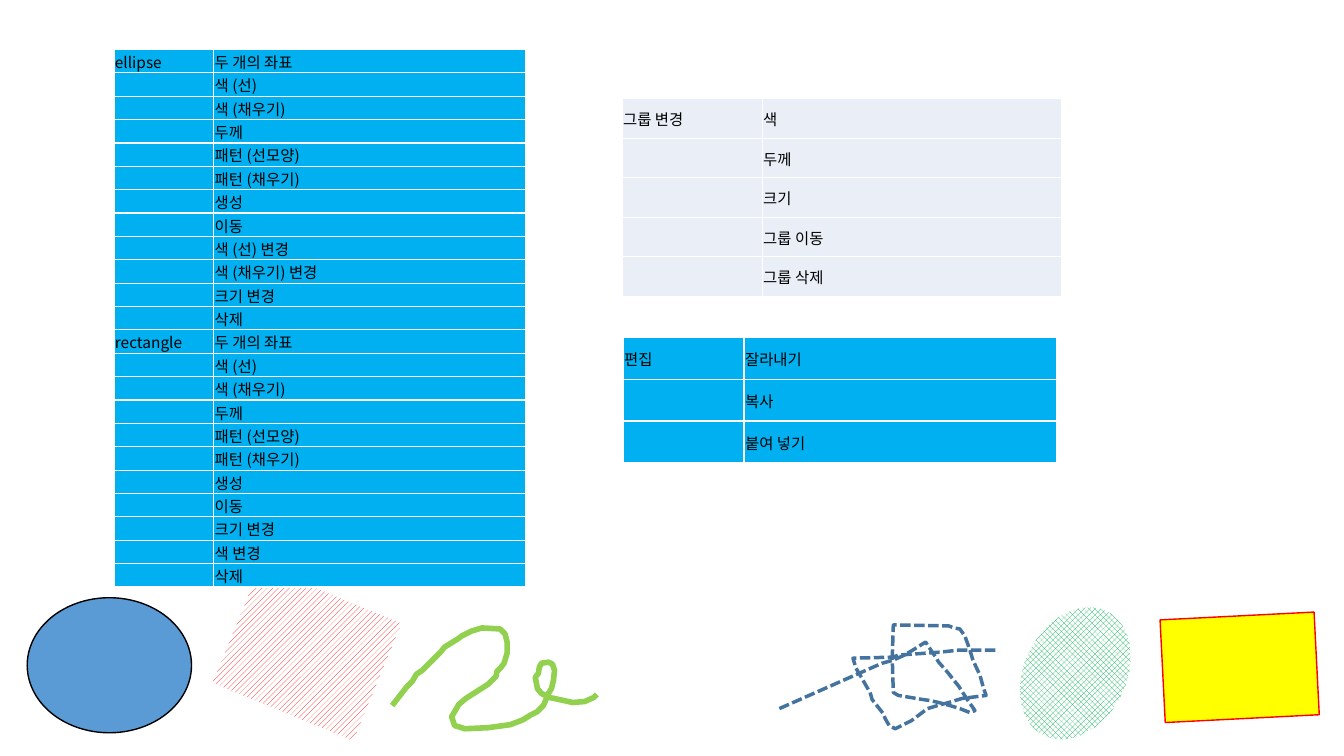
from lxml import etree
from pptx import Presentation
from pptx.dml.color import RGBColor
from pptx.enum import dml, shapes, text
from pptx.oxml import ns
from pptx.util import Inches, Pt

FONT, SIZE = "Noto Sans CJK KR", Pt(11)
COLORS = {
    "sky": "00B0F0", "pale": "EAEFF7", "white": "FFFFFF", "black": "000000",
    "blue": "5B9BD5", "yellow": "FFFF00", "red": "FF0000", "green": "00B050",
    "lime": "92D050", "steel": "43739E",
}

DRAWING = ["두 개의 좌표", "색 (선)", "색 (채우기)", "두께", "패턴 (선모양)",
           "패턴 (채우기)", "생성", "이동"]
ELLIPSE = DRAWING + ["색 (선) 변경", "색 (채우기) 변경", "크기 변경", "삭제"]
RECTANGLE = DRAWING + ["크기 변경", "색 변경", "삭제"]

# left, top, column widths, row height, fill, groups of features
TABLES = [
    (1.13, 0.49, (0.99, 3.09), 0.21, "sky",
     {"ellipse": ELLIPSE, "rectangle": RECTANGLE}),
    (6.18, 3.35, (1.2, 3.1), 0.413, "sky",
     {"편집": ["잘라내기", "복사", "붙여 넣기"]}),
    (6.17, 0.98, (1.39, 2.97), 0.392, "pale",
     {"그룹 변경": ["색", "두께", "크기", "그룹 이동", "그룹 삭제"]}),
]

# Stroke points in hundredths of an inch
CURL = [
    (389, 700), (403, 682), (409, 676), (413, 669), (419, 665), (427, 657),
    (437, 647), (441, 642), (454, 634), (458, 631), (464, 628), (468, 626),
    (478, 623), (496, 624), (501, 629), (503, 637), (503, 648), (500, 658),
    (497, 662), (493, 666), (492, 671), (484, 679), (473, 686), (462, 693),
    (455, 699), (451, 706), (448, 711), (451, 720), (455, 721), (461, 723),
    (484, 722), (506, 719), (514, 716), (519, 714), (527, 709), (533, 706),
    (539, 700), (542, 693), (544, 688), (547, 683), (549, 675), (550, 665),
    (548, 659), (544, 657), (537, 658), (535, 662), (534, 668), (531, 672),
    (533, 683), (537, 688), (545, 692), (559, 695), (568, 697), (580, 696),
    (589, 692), (592, 689),
]
SCRIBBLE = [
    (773, 703), (868, 661), (875, 658), (886, 655), (897, 650), (907, 644),
    (918, 637), (928, 652), (931, 657), (939, 666), (951, 681), (960, 695),
    (967, 705), (962, 707), (952, 703), (942, 700), (931, 697), (922, 695),
    (915, 694), (891, 690), (886, 687), (885, 653), (886, 620), (941, 621),
    (946, 623), (952, 624), (957, 631), (962, 645), (965, 655), (972, 670),
    (975, 681), (978, 690), (954, 693), (941, 697), (930, 700), (920, 703),
    (904, 715), (892, 721), (888, 723), (882, 720), (878, 713), (876, 708),
    (865, 694), (863, 687), (860, 682), (852, 668), (849, 663), (846, 653),
    (886, 652), (891, 650), (933, 647), (951, 645), (988, 645),
]


def rgb(name):
    return RGBColor.from_string(COLORS[name])


def set_line(shape, color, width, dash=None):
    shape.line.color.rgb = rgb(color)
    shape.line.width = Pt(width)
    if dash:
        shape.line.dash_style = dash


def add_figure(page, kind, frame, fill, rotation=0, outline=None, pattern=None):
    figure = page.shapes.add_shape(kind, *map(Inches, frame))
    figure.rotation = rotation
    figure.shadow.inherit = False
    if pattern:
        figure.fill.patterned()
        figure.fill.pattern = pattern
        figure.fill.fore_color.rgb = rgb(fill)
        figure.fill.back_color.rgb = rgb("white")
    else:
        figure.fill.solid()
        figure.fill.fore_color.rgb = rgb(fill)
    if outline:
        set_line(figure, outline, 1)
    else:
        figure.line.fill.background()


def add_stroke(page, points, color, width, dash=None):
    builder = page.shapes.build_freeform(*points[0], scale=Inches(0.01))
    builder.add_line_segments(points[1:], close=False)
    stroke = builder.convert_to_shape()
    stroke.shadow.inherit = False
    stroke.fill.background()
    set_line(stroke, color, width, dash)


def add_borders(cell):
    properties = cell._tc.get_or_add_tcPr()
    for side in ("a:lnL", "a:lnR", "a:lnT", "a:lnB"):
        border = etree.SubElement(properties, ns.qn(side), w=str(Pt(1)))
        solid = etree.SubElement(border, ns.qn("a:solidFill"))
        etree.SubElement(solid, ns.qn("a:srgbClr"), val=COLORS["white"])


def write_cell(cell, words, fill):
    add_borders(cell)
    cell.fill.solid()
    cell.fill.fore_color.rgb = rgb(fill)
    cell.vertical_anchor = text.MSO_ANCHOR.MIDDLE
    cell.margin_left = cell.margin_right = cell.margin_top = Inches(0.01)
    cell.margin_bottom = 0
    para = cell.text_frame.paragraphs[0]
    if words:
        span = para.add_run()
        span.text = words
        span.font.size = SIZE
        span.font.name = FONT
        span.font.color.rgb = rgb("black")
        properties = span._r.get_or_add_rPr()
    else:
        properties = etree.SubElement(para._p, ns.qn("a:endParaRPr"),
                                      sz=str(int(SIZE.pt * 100)))
        etree.SubElement(properties, ns.qn("a:latin"), typeface=FONT)
    etree.SubElement(properties, ns.qn("a:ea"), typeface=FONT)


def add_feature_table(page, left, top, widths, row_height, fill, groups):
    rows = [(group if index == 0 else "", feature)
            for group, features in groups.items()
            for index, feature in enumerate(features)]
    table = page.shapes.add_table(
        len(rows), len(widths), Inches(left), Inches(top),
        Inches(sum(widths)), Inches(row_height * len(rows))).table
    table.first_row = table.horz_banding = False
    for column, width in zip(table.columns, widths):
        column.width = Inches(width)
    for row, entries in zip(table.rows, rows):
        row.height = Inches(row_height)
        for cell, words in zip(row.cells, entries):
            write_cell(cell, words, fill)


def main():
    deck = Presentation()
    deck.slide_width, deck.slide_height = Inches(13.33), Inches(7.5)
    page = deck.slides.add_slide(deck.slide_layouts[6])
    oval, box = shapes.MSO_SHAPE.OVAL, shapes.MSO_SHAPE.RECTANGLE

    add_figure(page, oval, (0.27, 5.93, 1.63, 1.34), "blue", outline="black")
    add_figure(page, box, (11.53, 6.11, 1.53, 1.02), "yellow", 177.1, outline="red")
    add_stroke(page, CURL, "lime", 4)
    add_figure(page, oval, (10.16, 5.99, 1.01, 1.38), "green", 27.5,
               pattern=dml.MSO_PATTERN.OUTLINED_DIAMOND)
    add_figure(page, box, (2.29, 5.85, 1.51, 1.26), "red", 22.4,
               pattern=dml.MSO_PATTERN.WIDE_UPWARD_DIAGONAL)
    add_stroke(page, SCRIBBLE, "steel", 2.5, dml.MSO_LINE.SQUARE_DOT)
    for entry in TABLES:
        add_feature_table(page, *entry)
    deck.save("out.pptx")


if __name__ == "__main__":
    main()
